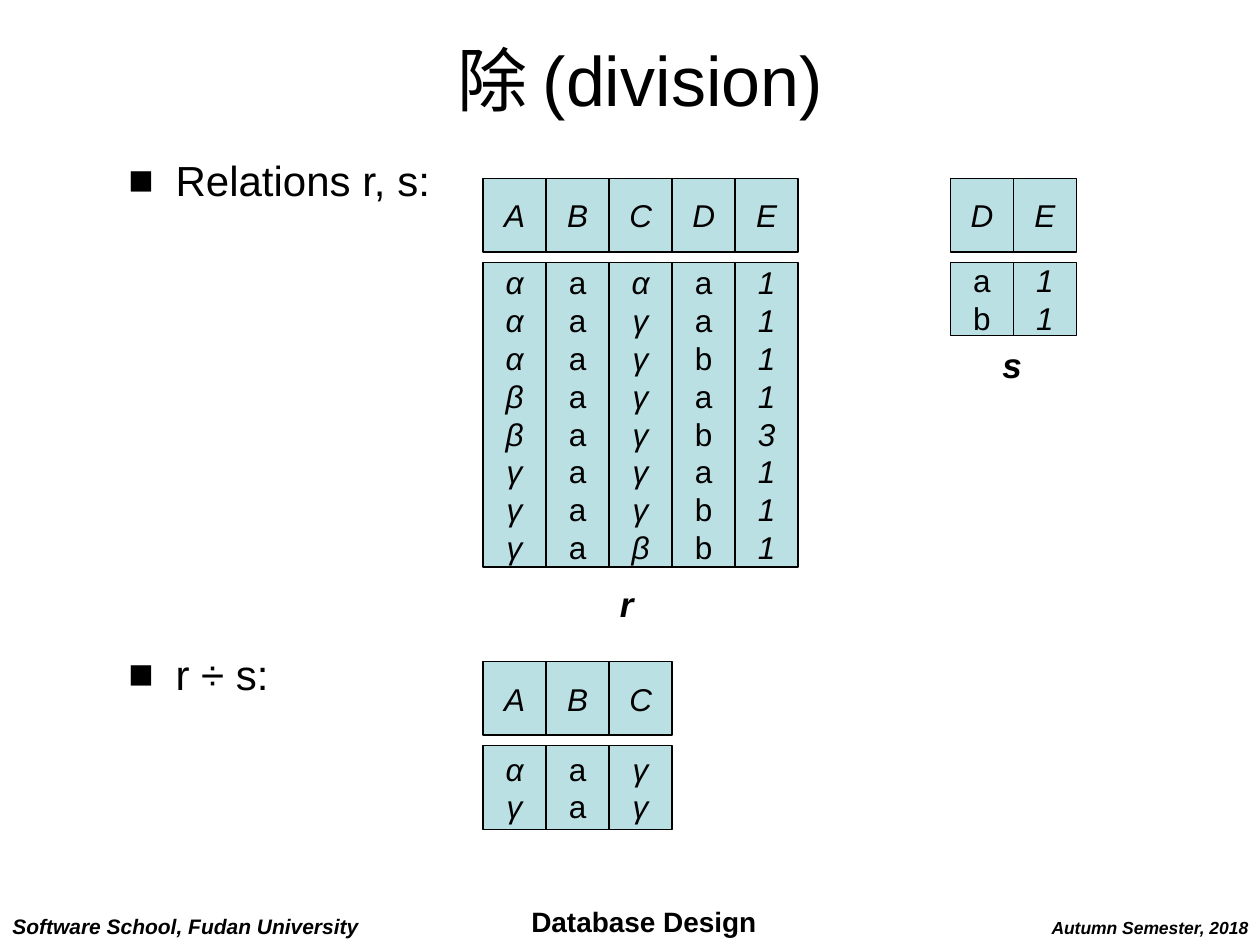
from lxml import etree
from pptx import Presentation
from pptx.dml.color import RGBColor
from pptx.enum.shapes import MSO_SHAPE
from pptx.enum.text import MSO_ANCHOR, MSO_AUTO_SIZE, PP_ALIGN
from pptx.oxml.ns import qn
from pptx.util import Cm, Pt

RECT = MSO_SHAPE.RECTANGLE
MID, TOP = MSO_ANCHOR.MIDDLE, MSO_ANCHOR.TOP
GROW, FIXED = MSO_AUTO_SIZE.SHAPE_TO_FIT_TEXT, MSO_AUTO_SIZE.NONE
LEFT, MIDDLE = PP_ALIGN.LEFT, PP_ALIGN.CENTER
INK = {"text": "000000", "cell": "BBE0E3"}

deck = Presentation()
deck.slide_width, deck.slide_height = Cm(25.4), Cm(19.05)
slide = deck.slides.add_slide(deck.slide_layouts[6])


def write(shape, lines, size, look, align=MIDDLE, frame=None):
    """Fill a shape with one paragraph per line."""
    body = shape.text_frame
    for key, val in (frame or {}).items():
        setattr(body, key, val)
    body.text = "\n".join(lines)
    for para in body.paragraphs:
        para.alignment = align
        font = para.runs[0].font
        font.color.rgb = RGBColor.from_string(INK["text"])
        for key, val in {"name": "Arial", "size": Pt(size), **look}.items():
            setattr(font, key, val)


def add_text(box, text, size, look, align=MIDDLE, frame=None):
    """Add a text box with a single line."""
    shape = slide.shapes.add_textbox(*(Cm(v) for v in box))
    write(shape, [text], size, look, align, frame)
    return shape


BOLD = {"bold": True}
SLANT = {"italic": True}
BOTH = {**BOLD, **SLANT}
LOOSE = {"word_wrap": False, "auto_size": GROW, "vertical_anchor": TOP}

# Footer
add_text((20.93, 18.36, 4.5, 0.69), "Autumn Semester, 2018", 10, BOTH, frame=LOOSE)
add_text((10.28, 18.11, 5.4, 0.94), "Database Design", 16, BOLD, frame=LOOSE)
add_text((0, 18.29, 7.49, 0.76), "Software School, Fudan University", 12, BOTH, LEFT, LOOSE)

# Title
add_text((1.47, 0, 22.86, 3.18), "除 (division)", 40, {},
         frame={"word_wrap": True, "auto_size": FIXED, "vertical_anchor": MID})

# Relations: left, top, body height, columns as (name, values)
COL, HEAD, STEP = 1.27, 1.48, 1.69
RELS = [
    (9.74, 3.6, 6.14, [("A", "αααββγγγ"), ("B", "aaaaaaaa"), ("C", "αγγγγγγβ"),
                       ("D", "aabababb"), ("E", "11113111")]),
    (19.16, 3.6, 1.48, [("D", "ab"), ("E", "11")]),
    (9.74, 13.34, 1.69, [("A", "αγ"), ("B", "aa"), ("C", "γγ")]),
]
for left, top, tall, cols in RELS:
    for i, (name, vals) in enumerate(cols):
        look = {} if vals[0] == "a" else SLANT
        for y, high, lines, style in ((top, HEAD, name, SLANT),
                                      (top + STEP, tall, vals, look)):
            cell = slide.shapes.add_shape(
                RECT, Cm(left + i * COL), Cm(y), Cm(COL), Cm(high))
            cell.shadow.inherit = False
            cell.fill.solid()
            cell.fill.fore_color.rgb = RGBColor.from_string(INK["cell"])
            cell.line.color.rgb = RGBColor.from_string(INK["text"])
            cell.line.width = Pt(0.75)
            write(cell, lines, 18, style,
                  frame={"word_wrap": False, "vertical_anchor": MID})

# Bulleted captions
for y, wide, text in ((3, 7.62, "Relations r, s:"), (12.95, 3.61, "r ÷ s:")):
    note = add_text((2.34, y, wide, 0.9), text, 24, {}, LEFT,
                    {"word_wrap": True, "auto_size": FIXED})
    props = note.text_frame.paragraphs[0]._p.get_or_add_pPr()
    props.set("marL", str(Cm(0.95)))
    props.set("indent", str(-Cm(0.95)))
    tint = etree.SubElement(props, qn("a:buClr"))
    etree.SubElement(tint, qn("a:srgbClr"), val=INK["text"])
    etree.SubElement(props, qn("a:buFont"), typeface="Arial")
    etree.SubElement(props, qn("a:buChar"), char="■")

# Relation names
for box, text in (((12.24, 11.61, 0.79, 1.12), "r"), ((19.96, 6.78, 0.89, 1.12), "s")):
    add_text(box, text, 20, BOTH, frame={**LOOSE, "vertical_anchor": MID})

deck.save("out.pptx")
